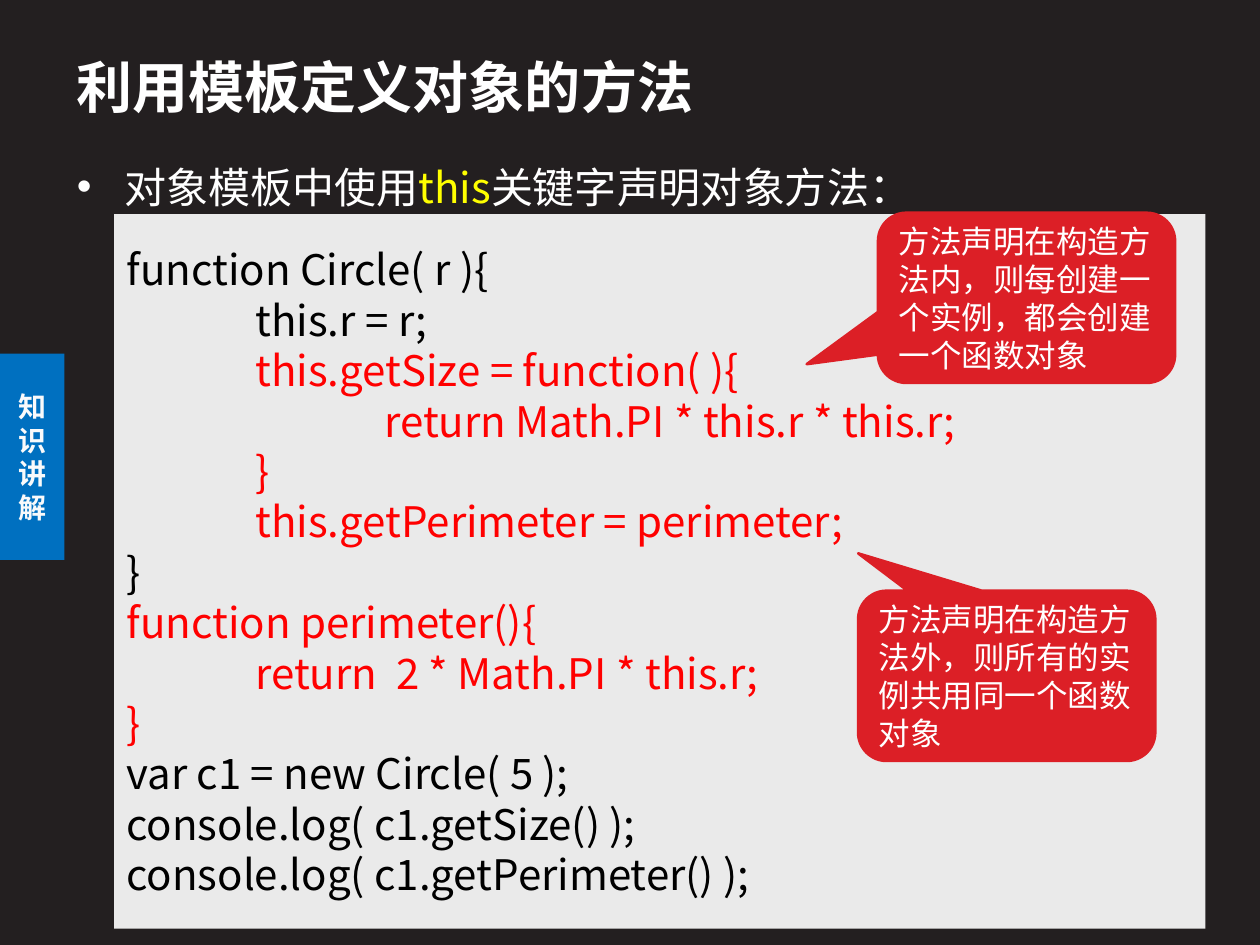
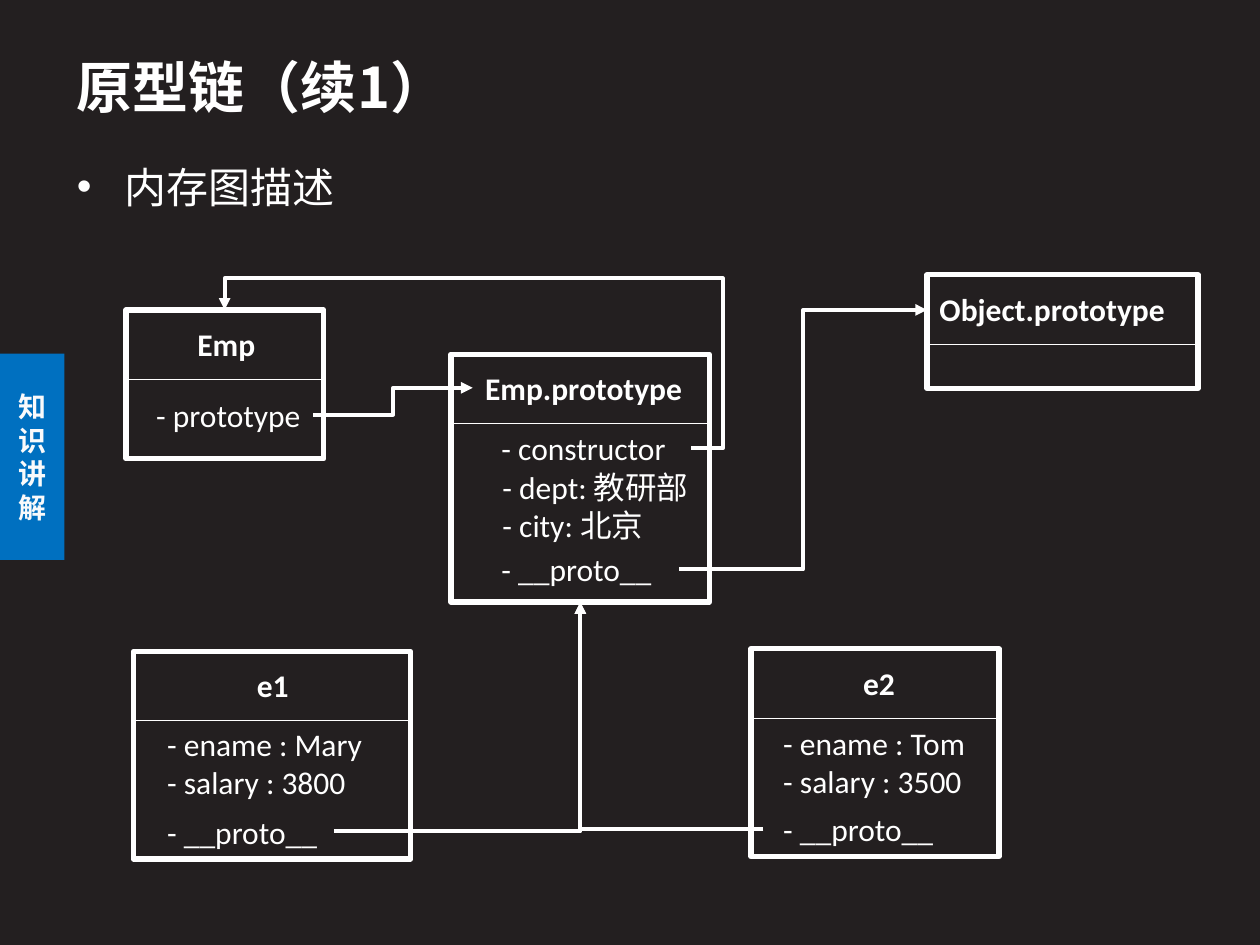
"""Build two lesson slides on object methods and the prototype chain."""
from lxml.etree import SubElement
from pptx import Presentation
from pptx.dml.color import RGBColor
from pptx.enum.shapes import MSO_CONNECTOR, MSO_SHAPE
from pptx.enum.text import MSO_ANCHOR, PP_ALIGN
from pptx.oxml.ns import qn
from pptx.util import Cm, Pt

BACKGROUND = RGBColor(0x23, 0x1F, 0x20)
WHITE = RGBColor(0xFF, 0xFF, 0xFF)
TAB_TEXT = RGBColor(0xF9, 0xFA, 0xFB)
BLACK = RGBColor(0, 0, 0)
BLUE = RGBColor(0x00, 0x70, 0xC0)
YELLOW = RGBColor(0xFF, 0xFF, 0x00)
RED = RGBColor(0xFF, 0x00, 0x00)
CALLOUT_RED = RGBColor(0xDC, 0x1F, 0x26)
CODE_GREY = RGBColor(0xEA, 0xEA, 0xEA)
CHINESE_FONT = "Noto Sans CJK SC"
DIAGRAM_FONT = "Calibri"


def add_box(slide, kind, box, fill=None, line=None, line_width=1.5):
    """Add a preset shape, or a text box when kind is None."""
    lengths = [Cm(value) for value in box]
    if kind is None:
        return slide.shapes.add_textbox(*lengths)
    shape = slide.shapes.add_shape(kind, *lengths)
    shape.shadow.inherit = False
    if fill is None:
        shape.fill.background()
    else:
        shape.fill.solid()
        shape.fill.fore_color.rgb = fill
    if line is None:
        shape.line.fill.background()
    else:
        shape.line.color.rgb = line
        shape.line.width = Pt(line_width)
    return shape


def write(shape, lines, size, font=CHINESE_FONT, bold=False,
          anchor=MSO_ANCHOR.MIDDLE, align=PP_ALIGN.LEFT):
    """Write lines, each a list of (text, colour) runs."""
    frame = shape.text_frame
    frame.word_wrap = True
    frame.vertical_anchor = anchor
    for index, runs in enumerate(lines):
        paragraph = frame.add_paragraph() if index else frame.paragraphs[0]
        paragraph.alignment = align
        for text, color in runs:
            run = paragraph.add_run()
            run.text = text
            run.font.size = Pt(size)
            run.font.bold = bold
            run.font.name = font
            run.font.color.rgb = color
            SubElement(run.font._element, qn("a:ea"), typeface=CHINESE_FONT)


presentation = Presentation()
presentation.slide_width = Cm(25.4)
presentation.slide_height = Cm(19.05)

contents = [
    ("利用模板定义对象的方法",
     [("对象模板中使用", WHITE), ("this", YELLOW), ("关键字声明对象方法：", WHITE)]),
    ("原型链（续1）", [("内存图描述", WHITE)]),
]
slides = []
for title, bullet in contents:
    slide = presentation.slides.add_slide(presentation.slide_layouts[6])
    slides.append(slide)
    slide.background.fill.solid()
    slide.background.fill.fore_color.rgb = BACKGROUND

    tab = add_box(slide, MSO_SHAPE.RECTANGLE, (0, 7.13, 1.3, 4.16), BLUE)
    write(tab, [[("知识讲解", TAB_TEXT)]], 16, bold=True, align=PP_ALIGN.CENTER)

    title_box = add_box(slide, None, (1.3, 0.74, 18.8, 1.98))
    write(title_box, [[(title, WHITE)]], 32, bold=True)

    body = add_box(slide, None, (1.3, 2.92, 22.4, 1.5))
    write(body, [bullet], 24, anchor=MSO_ANCHOR.TOP)
    paragraph = body.text_frame.paragraphs[0]
    paragraph.line_spacing = 1.2
    properties = paragraph._p.get_or_add_pPr()
    properties.set("marL", str(Cm(0.96)))
    properties.set("indent", str(-Cm(0.96)))
    SubElement(properties, qn("a:buFont"), typeface="Arial")
    SubElement(properties, qn("a:buChar"), char="•")

method_slide, chain_slide = slides

code_lines = [
    ("function Circle( r ){", BLACK),
    ("\tthis.r = r;", BLACK),
    ("\tthis.getSize = function( ){", RED),
    ("\t\treturn Math.PI * this.r * this.r;", RED),
    ("\t}", RED),
    ("\tthis.getPerimeter = perimeter;", RED),
    ("}", BLACK),
    ("function perimeter(){", RED),
    ("\treturn  2 * Math.PI * this.r;", RED),
    ("}", RED),
    ("var c1 = new Circle( 5 );", BLACK),
    ("console.log( c1.getSize() );", BLACK),
    ("console.log( c1.getPerimeter() );", BLACK),
]
code = add_box(method_slide, MSO_SHAPE.RECTANGLE, (2.3, 4.32, 22, 14.4), CODE_GREY)
write(code, [[line] for line in code_lines], 24)
for paragraph in code.text_frame.paragraphs:
    tab_list = SubElement(paragraph._p.get_or_add_pPr(), qn("a:tabLst"))
    for level in (1, 2):
        SubElement(tab_list, qn("a:tab"), pos=str(Cm(2.6 * level)), algn="l")

callouts = [
    (17.7, 4.29, -0.74, 0.39, "方法声明在构造方法内，则每创建一个实例，都会创建一个函数对象"),
    (17.3, 11.91, -0.5, -0.72, "方法声明在构造方法外，则所有的实例共用同一个函数对象"),
]
for left, top, tip_x, tip_y, text in callouts:
    callout = add_box(method_slide, MSO_SHAPE.ROUNDED_RECTANGULAR_CALLOUT,
                      (left, top, 5.99, 3.43), CALLOUT_RED, CALLOUT_RED)
    callout.adjustments[0] = tip_x
    callout.adjustments[1] = tip_y
    write(callout, [[(text, WHITE)]], 18)

objects = [
    ("Emp.prototype", (9.09, 7.14, 5.21, 5), 9.53, 4.6),
    ("Emp", (2.54, 6.25, 3.99, 3), 3.73, 1.8),
    ("Object.prototype", (18.69, 5.54, 5.46, 2.29), 18.69, 5.46),
    ("e1", (2.69, 13.13, 5.59, 4.19), 4.93, 1.4),
    ("e2", (15.14, 13.08, 5, 4.19), 17.15, 1.24),
]
connectors = []
for name, box, name_left, name_width in objects:
    left, top, width, height = box
    add_box(chain_slide, MSO_SHAPE.RECTANGLE, box, None, WHITE, 3)
    heading = add_box(chain_slide, None, (name_left, top + 0.18, name_width, 1.02))
    write(heading, [[(name, WHITE)]], 18, DIAGRAM_FONT, True, MSO_ANCHOR.TOP)
    divider = top + 1.4
    connectors.append(("line", (left, divider, left + width, divider), []))

fields = [
    (2.9, 7.85, 3.58, ["- prototype"]),
    (9.86, 8.53, 4.24, ["- constructor"]),
    (9.88, 9.32, 4.83, ["- dept: 教研部", "- city: 北京"]),
    (9.86, 10.97, 3.99, ["- __proto__"]),
    (3.12, 14.5, 5.03, ["- ename : Mary", "- salary : 3800"]),
    (3.12, 16.26, 3.73, ["- __proto__"]),
    (15.54, 14.48, 4.5, ["- ename : Tom", "- salary : 3500"]),
    (15.54, 16.21, 4.75, ["- __proto__"]),
]
for left, top, width, lines in fields:
    field = add_box(chain_slide, None, (left, top, width, 0.24 + 0.78 * len(lines)))
    write(field, [[(line, WHITE)] for line in lines], 18, DIAGRAM_FONT,
          anchor=MSO_ANCHOR.TOP)

connectors += [
    ("bentConnector3", (6.32, 8.36, 9.53, 7.82), []),
    ("bentConnector4", (13.94, 9.04, 4.53, 6.25), [-6700, 122800]),
    ("bentConnector3", (13.69, 11.48, 18.69, 6.25), []),
    ("bentConnector2", (6.73, 16.76, 11.7, 12.14), []),
    ("bentConnector2", (15.39, 16.71, 11.7, 12.14), []),
]
for preset, ends, adjustments in connectors:
    straight = preset == "line"
    kind = MSO_CONNECTOR.STRAIGHT if straight else MSO_CONNECTOR.ELBOW
    connector = chain_slide.shapes.add_connector(kind, *[Cm(value) for value in ends])
    connector.line.color.rgb = WHITE
    connector.line.width = Pt(0.75 if straight else 2.25)
    shape_properties = connector._element.spPr
    geometry = shape_properties.find(qn("a:prstGeom"))
    geometry.set("prst", preset)
    for number, value in enumerate(adjustments, 1):
        SubElement(geometry.find(qn("a:avLst")), qn("a:gd"),
                   name=f"adj{number}", fmla=f"val {value}")
    if not straight:
        SubElement(shape_properties.find(qn("a:ln")), qn("a:tailEnd"), type="triangle")
    SubElement(shape_properties, qn("a:effectLst"))

presentation.save("out.pptx")
